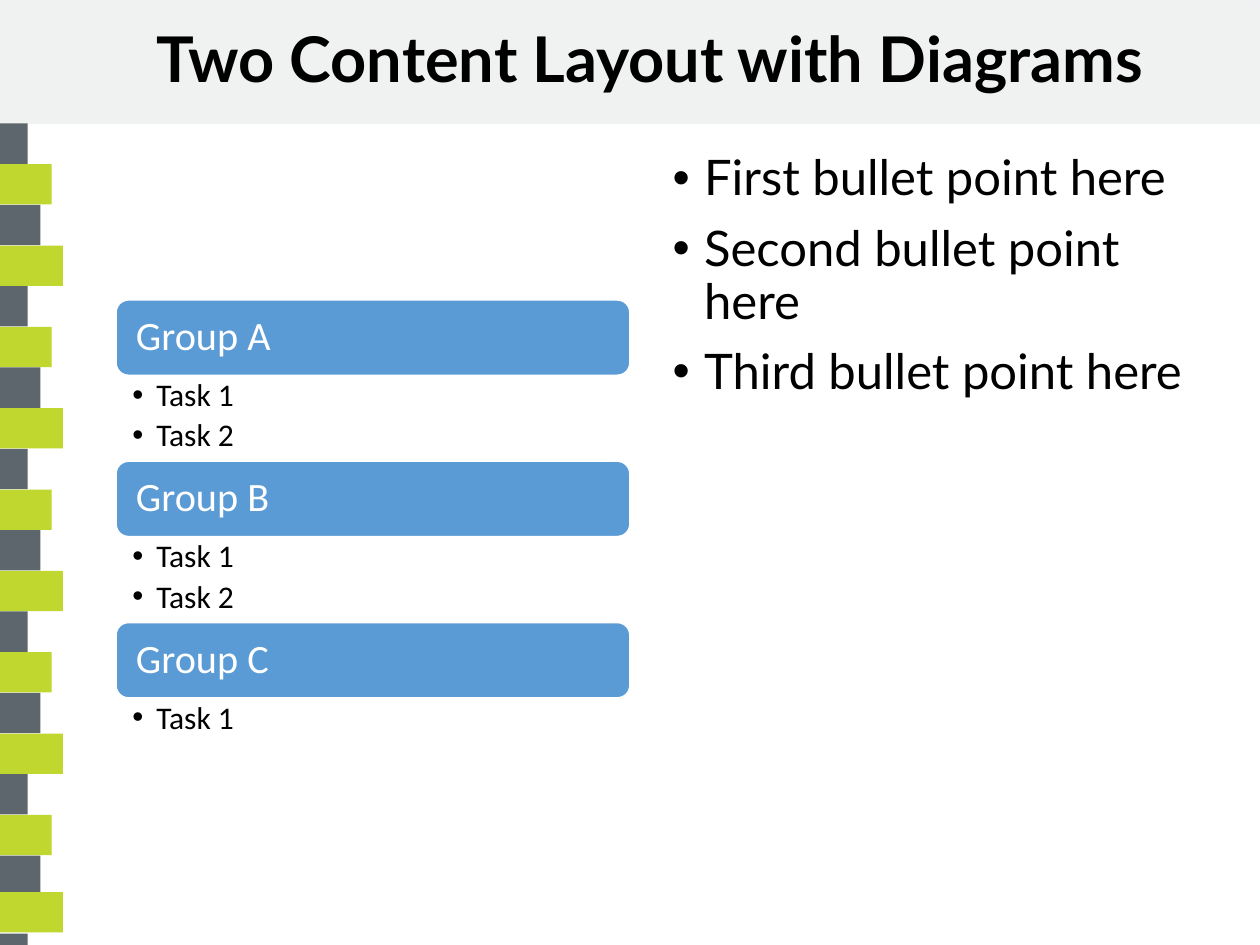
import itertools
import pptx
import pptx.util
import pptx.dml.color
import pptx.enum.shapes
import pptx.enum.text
from lxml import etree
from pptx.util import Inches, Pt

COLORS = {"band": "F0F1F1", "band_line": "F0F1F2", "gray": "5C666C",
          "lime": "BFD72F", "blue": "5B9BD5", "white": "FFFFFF", "black": "000000"}
SHAPES = pptx.enum.shapes.MSO_SHAPE
ANCHOR = pptx.enum.text.MSO_ANCHOR
GROUPS = [("Group A", ["Task 1", "Task 2"]),
          ("Group B", ["Task 1", "Task 2"]),
          ("Group C", ["Task 1"])]
BULLETS = ["First bullet point here", "Second bullet point here", "Third bullet point here"]


def rgb(name):
    """Return the named colour."""
    return pptx.dml.color.RGBColor.from_string(COLORS[name])


def add_box(s, kind, x, y, w, h, fill, line=None):
    """Add a filled preset shape without a shadow."""
    sp = s.shapes.add_shape(kind, Inches(x), Inches(y), Inches(w), Inches(h))
    sp.shadow.inherit = False
    sp.fill.solid()
    sp.fill.fore_color.rgb = rgb(fill)
    if line:
        sp.line.color.rgb = rgb(line)
        sp.line.width = Pt(1)
    else:
        sp.line.fill.background()
    return sp


def add_textbox(s, x, y, w, h):
    """Add an empty text box."""
    return s.shapes.add_textbox(Inches(x), Inches(y), Inches(w), Inches(h))


def set_text(sp, lines, font="Calibri", size=18, color="black", bold=False, indent=0,
             level=0, before=0, after=0, anchor=ANCHOR.TOP, insets=(0.1, 0.05, 0.1, 0.05)):
    """Write one paragraph per line, bulleted when an indent is given."""
    tf = sp.text_frame
    tf.word_wrap = True
    tf.vertical_anchor = anchor
    tf.margin_left, tf.margin_top, tf.margin_right, tf.margin_bottom = map(Inches, insets)
    for i, line in enumerate(lines):
        p = tf.add_paragraph() if i else tf.paragraphs[0]
        p.alignment = pptx.enum.text.PP_ALIGN.LEFT
        p.level = level
        p.line_spacing = 0.9
        p.space_before, p.space_after = Pt(before), Pt(after)
        r = p.add_run()
        r.text = line
        r.font.name, r.font.size, r.font.bold = font, Pt(size), bold
        r.font.color.rgb = rgb(color)
        if indent:
            pPr = p._p.get_or_add_pPr()
            pPr.set("marL", str(Inches(indent)))
            pPr.set("indent", str(-Inches(indent)))
            ns = pptx.oxml.ns.qn
            etree.SubElement(pPr, ns("a:buFont")).set("typeface", "Arial")
            etree.SubElement(pPr, ns("a:buChar")).set("char", "•")


def add_header(s, x, y, w, h):
    """Add the title band and its title."""
    add_box(s, SHAPES.RECTANGLE, x, y, w, h, "band", "band_line")
    sp = add_textbox(s, x + 1.14, y + 0.01, w - 1.34, h - 0.01)
    set_text(sp, ["Two Content Layout with Diagrams"], font="Lato", size=36, bold=True,
             anchor=ANCHOR.MIDDLE)


def add_side_strip(s, x, y, h):
    """Add the column of alternating gray and lime blocks."""
    block, pitch = 0.32, 5.81 / 18
    tops = [i * pitch for i in range(19)] + [h - 0.42, h - 0.09]
    styles = itertools.cycle([(0.22, "gray"), (0.41, "lime"), (0.32, "gray"), (0.5, "lime")])
    for top, (width, color) in zip(tops, styles):
        add_box(s, SHAPES.RECTANGLE, x, y + top, width, min(block, h - top), color)


def add_groups(s, x, y, w):
    """Stack the group bars with their tasks below."""
    bar = 0.6
    for name, tasks in GROUPS:
        sp = add_box(s, SHAPES.ROUNDED_RECTANGLE, x, y, w, bar, "blue", "white")
        set_text(sp, [name], size=23, color="white", anchor=ANCHOR.MIDDLE,
                 insets=(0.13, 0.1, 0.13, 0.1))
        y += bar
        h = 0.68 if len(tasks) > 1 else 0.42
        set_text(add_textbox(s, x, y, w, h), tasks, indent=0.19, level=1, after=3.6,
                 insets=(0.13, 0.03, 0.18, 0.03))
        y += h


def add_bullets(s, x, y, w, h):
    """Add the bulleted list on the right."""
    set_text(add_textbox(s, x, y, w, h), BULLETS, font="Lato", size=28, indent=0.25, before=10)


def main():
    """Build and save the slide."""
    prs = pptx.Presentation()
    prs.slide_width, prs.slide_height = Inches(10), Inches(7.5)
    s = prs.slides.add_slide(prs.slide_layouts[6])
    add_header(s, 0, 0, 10, 0.98)
    add_side_strip(s, 0, 0.98, 6.52)
    add_groups(s, 0.92, 2.38, 4.08)
    add_bullets(s, 5.24, 1.17, 4.49, 5.66)
    prs.save("out.pptx")


if __name__ == "__main__":
    main()
